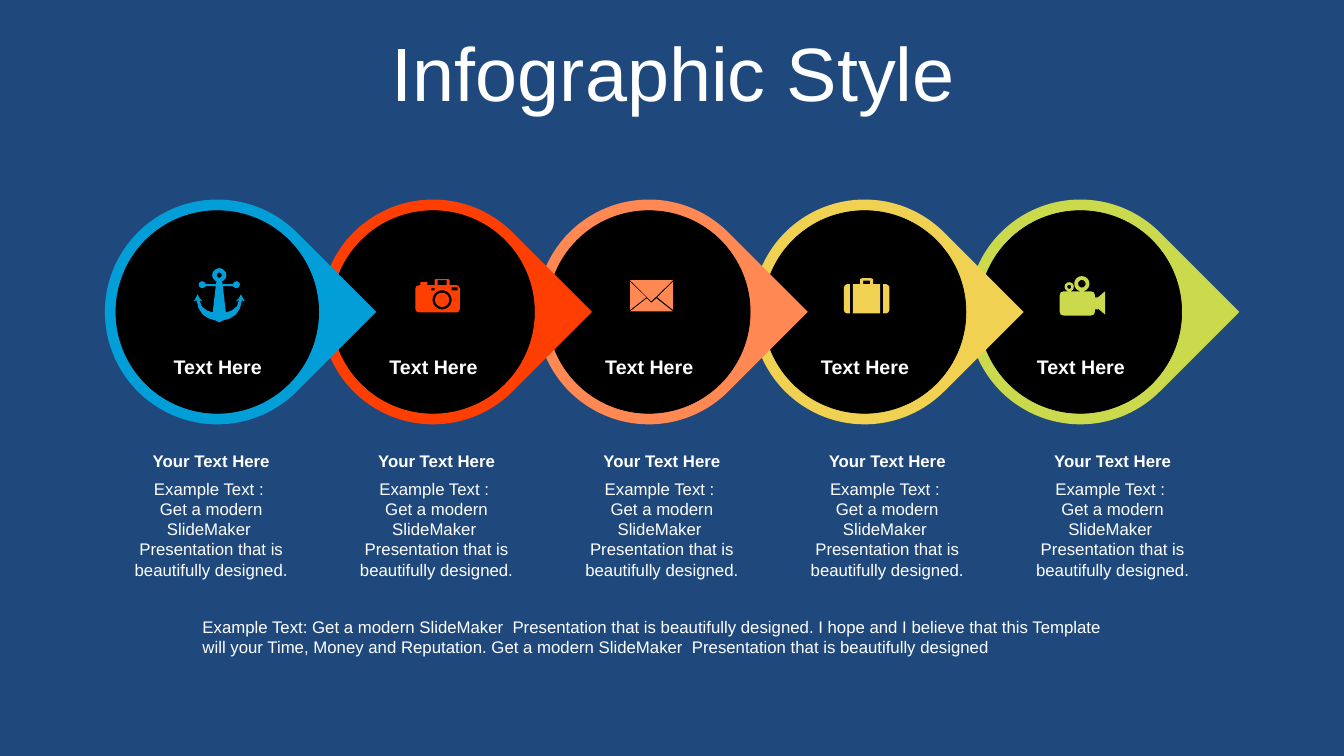
"""Build a one-slide infographic: five linked teardrop steps with icons and captions."""
import math
from pptx import Presentation
from pptx.dml.color import RGBColor
from pptx.enum.shapes import MSO_SHAPE
from pptx.enum.text import MSO_ANCHOR, MSO_AUTO_SIZE, PP_ALIGN
from pptx.util import Inches, Pt

TEARDROP, OVAL = MSO_SHAPE.TEAR, MSO_SHAPE.OVAL
CENTER, LEFT = PP_ALIGN.CENTER, PP_ALIGN.LEFT
MIDDLE, TOP = MSO_ANCHOR.MIDDLE, MSO_ANCHOR.TOP
GROW, FIXED = MSO_AUTO_SIZE.SHAPE_TO_FIT_TEXT, MSO_AUTO_SIZE.NONE

THEME = {
    "font": "Arial", "background": "1F497D", "text": "FFFFFF", "disc": "000000",
    "title": 54, "label": 14, "body": 12,
}


def circle(center_x, center_y, radius, sides=40):
    return [(center_x + radius * math.cos(math.tau * side / sides),
             center_y + radius * math.sin(math.tau * side / sides)) for side in range(sides)]


def box(left, top, right, bottom):
    return [(left, top), (right, top), (right, bottom), (left, bottom)]


def mirrored(half, axis):
    return half + [(2 * axis - x, y) for x, y in reversed(half)]


ANCHOR_HALF = [
    (25.5, 0), (29, 1), (32, 4), (32.5, 7), (32, 10), (29, 13), (28, 13), (29, 16),
    (39, 16), (40, 14), (42.5, 13), (45, 14), (46, 16.5), (45, 19), (42.5, 20), (40, 19),
    (39, 18), (29, 18), (32, 44), (38, 42), (43, 38), (45, 32), (42, 33), (45, 30),
    (47, 26), (49, 30), (51, 33), (48, 32), (46, 40), (42, 46), (36, 50), (29, 52), (25.5, 54),
]
CAMERA_BODY = [
    (20, 0), (33, 0), (34, 1), (34, 6), (41, 6), (43, 7), (44, 9), (44, 30), (43, 32),
    (41, 33), (4, 33), (1, 32), (0, 30), (0, 9), (1, 7), (4, 6), (5, 6), (5, 3), (12, 3),
    (12, 6), (19, 6), (19, 1),
]
VIDEO_BODY = [
    (4, 15), (31, 15), (34, 16), (35, 19), (35, 21), (38, 21), (45, 15), (45, 38), (38, 32),
    (38, 33), (35, 33), (35, 35), (34, 38), (31, 39), (4, 39), (1, 38), (0, 35), (0, 19), (1, 16),
]
CASE_SIDE = [(3, 6), (6, 6), (6, 35), (3, 35), (1, 34), (0, 32), (0, 9), (1, 7)]
CASE_MIDDLE = [
    (18, 0), (27, 0), (29, 1), (29, 6), (36, 6), (36, 35), (9, 35), (9, 6), (16, 6), (16, 1),
]

ANCHOR = [mirrored(ANCHOR_HALF, 25.5), circle(25.5, 7, 2.5)]
CAMERA = [CAMERA_BODY, circle(26.5, 20.5, 9.5), circle(26.5, 20.5, 7),
          box(16, 9, 19, 11), box(36, 8, 42, 11), box(22, 1, 31, 6)]
ENVELOPE = [
    [(26, 18), (42.5, 31), (0, 31), (16.5, 18), (21, 22.5)],
    [(42.5, 1.5), (42.5, 29.5), (27, 17)],
    [(0, 1.5), (16, 17), (0, 29.5)],
    [(0, 0), (42.5, 0), (21, 21)],
]
SUITCASE = [CASE_SIDE, [(45 - x, y) for x, y in CASE_SIDE], CASE_MIDDLE, box(19, 2.5, 26, 6)]
VIDEO = [VIDEO_BODY, circle(22, 7.5, 7.5), circle(22, 7.5, 3.75),
         circle(9.5, 10.5, 4.5), circle(9.5, 10.5, 2)]

TITLE = "Infographic Style"
LABEL = "Text Here"
HEADING = "Your Text Here"
PITCH = "Get a modern SlideMaker  Presentation that is beautifully designed"
DETAIL = ["Example Text : ", PITCH + "."]
FOOTER = (f"Example Text: {PITCH}. I hope and I believe that this Template "
          f"will your Time, Money and Reputation. {PITCH}")
STEPS = [
    ("019ED7", ANCHOR, 1.92, 2.66),
    ("FF3F02", CAMERA, 4.12, 2.77),
    ("FF8853", ENVELOPE, 6.25, 2.78),
    ("F0D152", SUITCASE, 8.37, 2.76),
    ("CADA4C", VIDEO, 10.51, 2.74),
]

DROP_LEFT, DROP_TOP, DROP_SIZE, DROP_STEP = 1.04, 1.98, 2.23, 2.14
DISC_SIZE = 2.01
DISC_INSET = (DROP_SIZE - DISC_SIZE) / 2
LABEL_OFFSET = 0.4
CAPTION_LEFT, CAPTION_LAST = 1.15, 10.09
CAPTION_STEP = (CAPTION_LAST - CAPTION_LEFT) / (len(STEPS) - 1)


def paint(shape, color):
    shape.shadow.inherit = False
    shape.fill.solid()
    shape.fill.fore_color.rgb = RGBColor.from_string(color)
    shape.line.fill.background()


def add_round(slide, kind, left, top, size, color):
    shape = slide.shapes.add_shape(kind, Inches(left), Inches(top), Inches(size), Inches(size))
    paint(shape, color)
    return shape


def add_text(slide, place, lines, size, bold=False, align=CENTER, anchor=TOP, fit=GROW, spacing=1.0):
    text_frame = slide.shapes.add_textbox(*map(Inches, place)).text_frame
    text_frame.word_wrap = True
    text_frame.auto_size = fit
    text_frame.vertical_anchor = anchor
    text_frame.text = "\n".join(lines)
    for paragraph in text_frame.paragraphs:
        paragraph.alignment = align
        paragraph.line_spacing = spacing
        for run in paragraph.runs:
            run.font.name = THEME["font"]
            run.font.size = Pt(size)
            run.font.bold = bold
            run.font.color.rgb = RGBColor.from_string(THEME["text"])


def add_icon(slide, contours, left, top, color):
    outlines = [[(Inches(left + x / 100), Inches(top + y / 100)) for x, y in contour]
                for contour in contours]
    builder = slide.shapes.build_freeform(*outlines[0][0])
    for outline in outlines:
        builder.move_to(*outline[0])
        builder.add_line_segments(outline[1:], close=True)
    paint(builder.convert_to_shape(), color)


def add_step(slide, index):
    color, contours, icon_left, icon_top = STEPS[index]
    left = DROP_LEFT + index * DROP_STEP
    drop = add_round(slide, TEARDROP, left, DROP_TOP, DROP_SIZE, color)
    drop.rotation = 45
    disc = add_round(slide, OVAL, left + DISC_INSET, DROP_TOP + DISC_INSET, DISC_SIZE, THEME["disc"])
    disc.line.color.rgb = RGBColor.from_string(THEME["disc"])
    disc.line.width = Pt(0.5)
    add_icon(slide, contours, icon_left, icon_top, color)
    add_text(slide, (left + LABEL_OFFSET, 3.47, 1.44, 0.34), [LABEL], THEME["label"], bold=True)


def add_caption(slide, index):
    left = CAPTION_LEFT + index * CAPTION_STEP
    add_text(slide, (left, 4.42, 1.89, 0.3), [HEADING], THEME["body"], bold=True)
    add_text(slide, (left, 4.7, 1.89, 1.11), DETAIL, THEME["body"])


def main():
    presentation = Presentation()
    presentation.slide_width, presentation.slide_height = Inches(13.33), Inches(7.5)
    slide = presentation.slides.add_slide(presentation.slide_layouts[6])
    slide.background.fill.solid()
    slide.background.fill.fore_color.rgb = RGBColor.from_string(THEME["background"])
    add_text(slide, (0.35, 0.37, 12.66, 0.79), [TITLE], THEME["title"],
             anchor=MIDDLE, fit=FIXED, spacing=0.9)
    for index in reversed(range(len(STEPS))):
        add_step(slide, index)
    for index in range(len(STEPS)):
        add_caption(slide, index)
    add_text(slide, (1.91, 6.07, 9.35, 0.5), [FOOTER], THEME["body"], align=LEFT)
    presentation.save("out.pptx")


if __name__ == "__main__":
    main()
